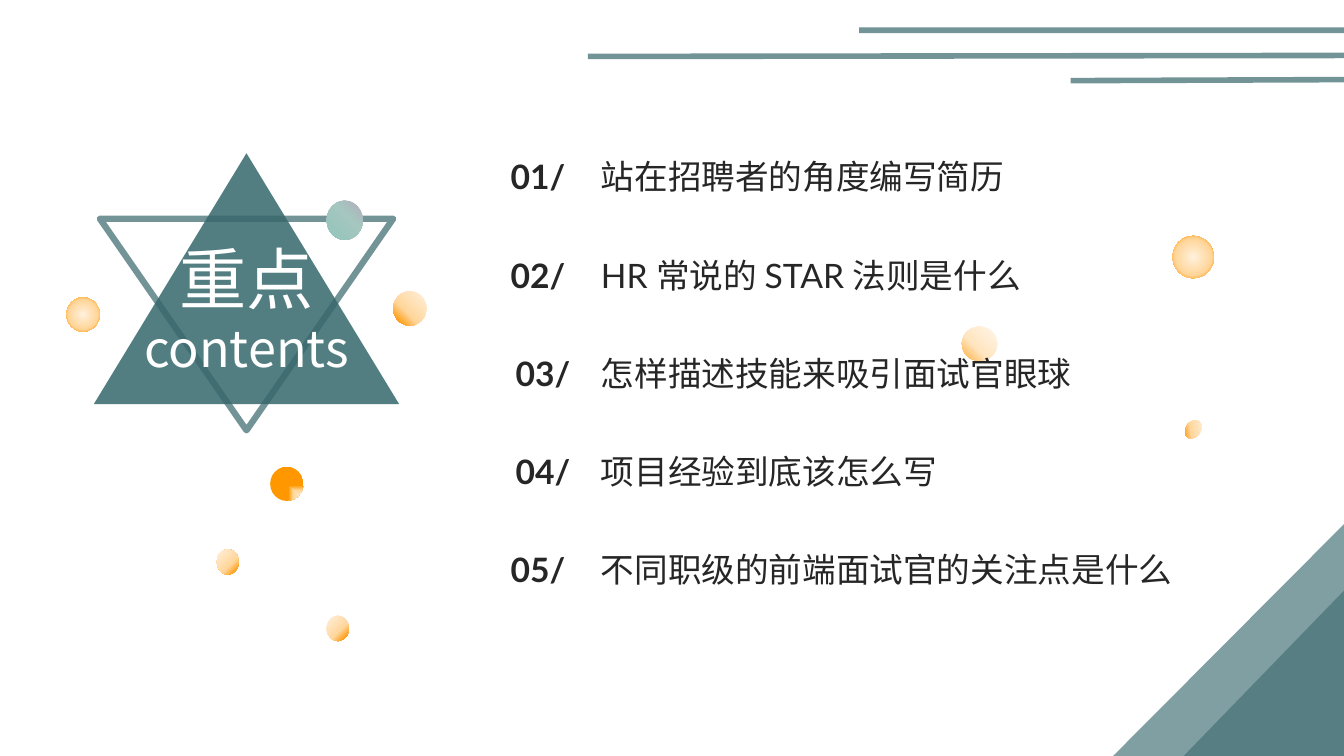
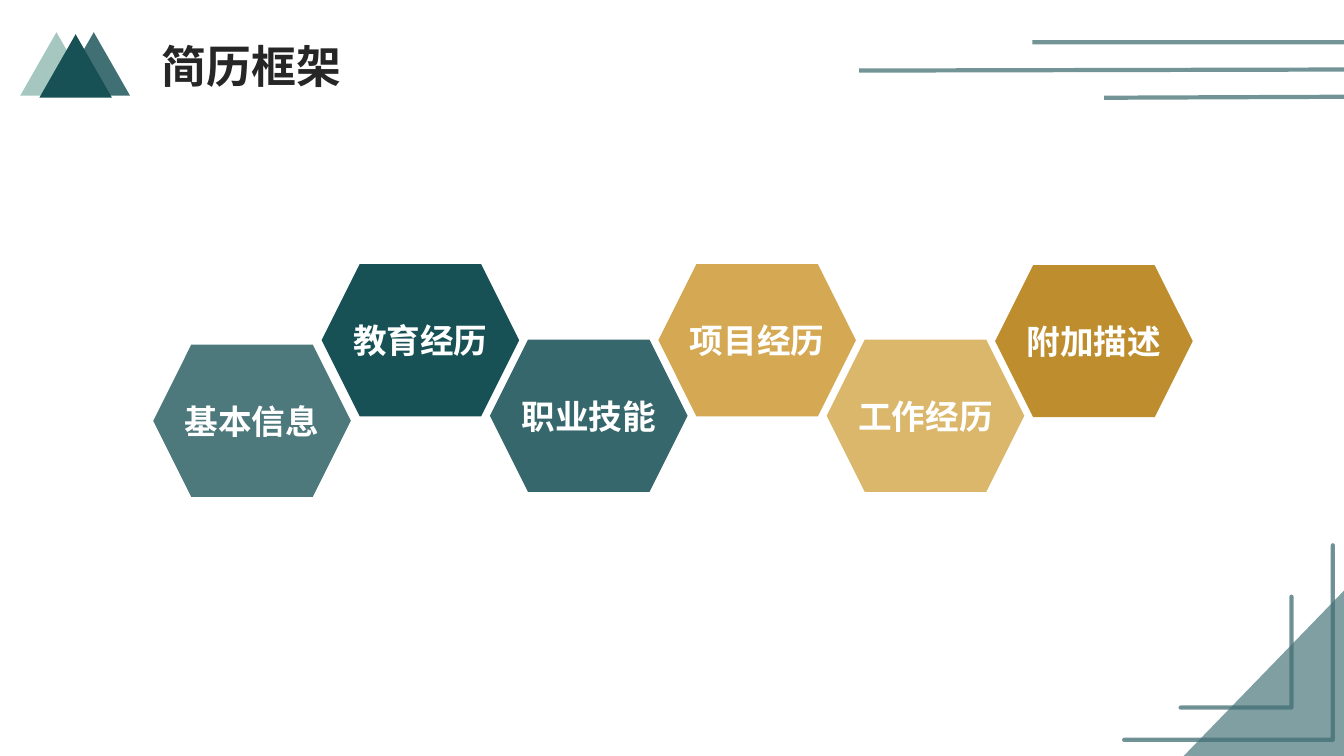
from lxml import etree
from pptx import Presentation
from pptx.dml.color import RGBColor
from pptx.enum.shapes import MSO_CONNECTOR, MSO_SHAPE as S
from pptx.enum.text import MSO_ANCHOR, PP_ALIGN
from pptx.oxml import parse_xml
from pptx.oxml.ns import nsdecls, qn
from pptx.util import Inches, Pt

W, H = 13.33, 7.5
LATIN, CJK = "Lato", "Noto Sans CJK SC"
DEEP = RGBColor(0x17, 0x51, 0x55)
LINE = RGBColor(0x37, 0x67, 0x6C)
CORNER = RGBColor(0x43, 0x70, 0x75)
MINT = RGBColor(0xA5, 0xC7, 0xC0)
SLATE = RGBColor(0x4D, 0x78, 0x7C)
TEAL = RGBColor(0x36, 0x67, 0x6C)
GOLD = RGBColor(0xD5, 0xA9, 0x53)
SAND = RGBColor(0xDB, 0xB7, 0x6C)
BRONZE = RGBColor(0xBE, 0x8D, 0x2E)
INK = RGBColor(0x26, 0x26, 0x26)
WHITE = RGBColor(0xFF, 0xFF, 0xFF)

ORANGE_STOPS = [(2, "FFF1DD"), (32, "FFE3BB"), (62, "FFD699"), (90, "FF9800")]
MINT_STOPS = [(10, "B0B2BC"), (40, "A5C7C0"), (100, "91C4BB"), (100, "DDF4EA")]

CONTENTS = [
    ("01/", "站在招聘者的角度编写简历", 0.1),
    ("02/", "HR 常说的 STAR 法则是什么", 0.1),
    ("03/", "怎样描述技能来吸引面试官眼球", 0),
    ("04/", "项目经验到底该怎么写", 0),
    ("05/", "不同职级的前端面试官的关注点是什么", 0.1),
]
ROW_TOP, ROW_STEP = 1.5, 0.975

VEILED_BUBBLE = ((9.54, 3.24, 0.35, 0.34), ORANGE_STOPS, 135)
BUBBLES = [
    ((3.24, 1.99, 0.36, 0.39), MINT_STOPS, 135),
    ((3.9, 2.89, 0.33, 0.34), ORANGE_STOPS, 135),
    ((0.66, 2.95, 0.33, 0.34), ORANGE_STOPS, ("circle", 50, 50, 50, 50)),
    ((2.68, 4.63, 0.33, 0.34), ORANGE_STOPS, ("rect", 100, 100, 0, 0)),
    ((2.15, 5.45, 0.22, 0.25), ORANGE_STOPS, ("circle", 0, 0, 100, 100)),
    ((3.24, 6.11, 0.22, 0.25), ORANGE_STOPS, 45),
    ((11.63, 2.34, 0.41, 0.42), ORANGE_STOPS, ("circle", 50, 50, 50, 50)),
    ((11.76, 4.16, 0.15, 0.2), ORANGE_STOPS, 135, 35),
]
CONTENTS_LINES = [(0.55, 5.83, 0.56), (0.3, 8.52, 0.3), (0.79, 10.62, 0.8)]
FRAME_LINES = [(0.69, 8.52, 0.7), (0.42, 10.24, 0.42), (0.96, 10.95, 0.97)]

SECTIONS = [
    ("基本信息", SLATE, 3.42),
    ("教育经历", DEEP, 2.62),
    ("职业技能", TEAL, 3.37),
    ("项目经历", GOLD, 2.62),
    ("工作经历", SAND, 3.37),
    ("附加描述", BRONZE, 2.63),
]
HEX_LEFT, HEX_STEP, HEX_W, HEX_H = 1.52, 1.67, 1.96, 1.51
PEAKS = [(0.2, 0.32, MINT, 100), (0.57, 0.32, DEEP, 82), (0.39, 0.34, DEEP, 100)]
BRACKETS = [(11.15, 5.41, 2.07, 1.93), (11.71, 5.92, 1.1, 1.1)]


def set_alpha(fill_parent, alpha):
    if alpha < 100:
        clr = fill_parent.find(qn("a:solidFill"))[0]
        etree.SubElement(clr, qn("a:alpha")).set("val", str(alpha * 1000))


def style_line(line, width):
    line.color.rgb = LINE
    line.width = Pt(width)
    set_alpha(line._get_or_add_ln(), 70)


def add_shape(slide, kind, box, color=None, alpha=100, line=0, flip=None):
    sp = slide.shapes.add_shape(kind, *map(Inches, box))
    sp.shadow.inherit = False
    if color is None:
        sp.fill.background()
    else:
        sp.fill.solid()
        sp.fill.fore_color.rgb = color
        set_alpha(sp.element.spPr, alpha)
    if line:
        style_line(sp.line, line)
    else:
        sp.line.fill.background()
    if flip:
        sp.element.spPr.find(qn("a:xfrm")).set(flip, "1")
    return sp


def add_bubble(slide, box, stops, direction, rotation=0):
    sp = add_shape(slide, S.OVAL, box)
    sp.rotation = rotation
    gs = "".join(f'<a:gs pos="{pos * 1000}"><a:srgbClr val="{c}"/></a:gs>' for pos, c in stops)
    if isinstance(direction, tuple):
        kind, *sides = direction
        rect = " ".join(f'{n}="{v * 1000}"' for n, v in zip("ltrb", sides))
        way = f'<a:path path="{kind}"><a:fillToRect {rect}/></a:path>'
    else:
        way = f'<a:lin ang="{direction * 60000}" scaled="0"/>'
    grad = parse_xml(f'<a:gradFill {nsdecls("a")} rotWithShape="1"><a:gsLst>{gs}</a:gsLst>{way}</a:gradFill>')
    spPr = sp.element.spPr
    spPr.replace(spPr.find(qn("a:noFill")), grad)


def add_lines(slide, rows, width):
    for y1, x2, y2 in rows:
        cx = slide.shapes.add_connector(MSO_CONNECTOR.STRAIGHT, *map(Inches, (W, y1, x2, y2)))
        style_line(cx.line, width)
        etree.SubElement(cx.element.spPr, qn("a:effectLst"))


def add_corner(slide, w, h):
    add_shape(slide, S.RIGHT_TRIANGLE, (W - w, H - h, w, h), CORNER, 67, flip="flipH")


def format_text(tf, sizes, color, font=LATIN, bold=False, align=PP_ALIGN.CENTER):
    for p, size in zip(tf.paragraphs, sizes):
        p.alignment = align
        for r in p.runs:
            r.font.size, r.font.bold, r.font.name = Pt(size), bold, font
            r.font.color.rgb = color
            etree.SubElement(r.font._element, qn("a:ea")).set("typeface", CJK)


def add_text(slide, box, text, bold=False, align=PP_ALIGN.CENTER, left=0.1, right=0.1):
    tf = slide.shapes.add_textbox(*map(Inches, box)).text_frame
    tf.word_wrap = True
    tf.margin_left, tf.margin_right = Inches(left), Inches(right)
    tf.text = text
    format_text(tf, [24], INK, bold=bold, align=align)


def set_title(slide, box, text, sizes, color, bold=False):
    sp = slide.shapes.title
    sp.left, sp.top, sp.width, sp.height = map(Inches, box)
    tf = sp.text_frame
    tf.text = text
    tf.vertical_anchor = MSO_ANCHOR.TOP
    format_text(tf, sizes, color, CJK, bold)
    slide.shapes._spTree.append(sp.element)


def build_contents(slide):
    add_bubble(slide, *VEILED_BUBBLE)
    add_shape(slide, S.RECTANGLE, (0, 2.62, W, H - 2.62), WHITE, 37)
    add_corner(slide, 2.29, 2.3)
    add_shape(slide, S.ISOSCELES_TRIANGLE, (0.93, 1.52, 3.03, 2.49), DEEP, 74)
    add_shape(slide, S.ISOSCELES_TRIANGLE, (0.99, 2.17, 2.91, 2.1), line=4.5, flip="flipV")
    set_title(slide, (-0.05, 2.3, 4.99, 1.51), "重点\ncontents", [48, 36], WHITE)
    for i, (number, topic, right) in enumerate(CONTENTS):
        y = ROW_TOP + i * ROW_STEP
        add_text(slide, (4.7, y, 1.27, 0.5), number, bold=True, right=right)
        add_text(slide, (5.96, y, 6.8, 0.5), topic, align=PP_ALIGN.LEFT, left=0, right=0)
    for bubble in BUBBLES:
        add_bubble(slide, *bubble)
    add_corner(slide, 1.59, 1.64)
    add_lines(slide, CONTENTS_LINES, 4)


def build_frame(slide):
    for i, (name, color, top) in enumerate(SECTIONS):
        sp = add_shape(slide, S.HEXAGON, (HEX_LEFT + i * HEX_STEP, top, HEX_W, HEX_H), color)
        sp.adjustments[0] = 0.25
        tf = sp.text_frame
        tf.text = name
        tf.word_wrap = False
        tf.vertical_anchor = MSO_ANCHOR.MIDDLE
        format_text(tf, [24], WHITE, bold=True)
    for x, y, color, alpha in PEAKS:
        add_shape(slide, S.ISOSCELES_TRIANGLE, (x, y, 0.72, 0.63), color, alpha)
    set_title(slide, (1.3, 0.33, 2.39, 0.64), "简历框架", [32], INK, True)
    for box in BRACKETS:
        sp = add_shape(slide, S.CORNER, box, DEEP, line=3, flip="flipH")
        sp.adjustments[0] = sp.adjustments[1] = 0
    add_corner(slide, 1.59, 1.64)
    add_lines(slide, FRAME_LINES, 3)


def main():
    prs = Presentation()
    prs.slide_width, prs.slide_height = Inches(W), Inches(H)
    for build in (build_contents, build_frame):
        build(prs.slides.add_slide(prs.slide_layouts[5]))
    prs.save("out.pptx")


if __name__ == "__main__":
    main()
